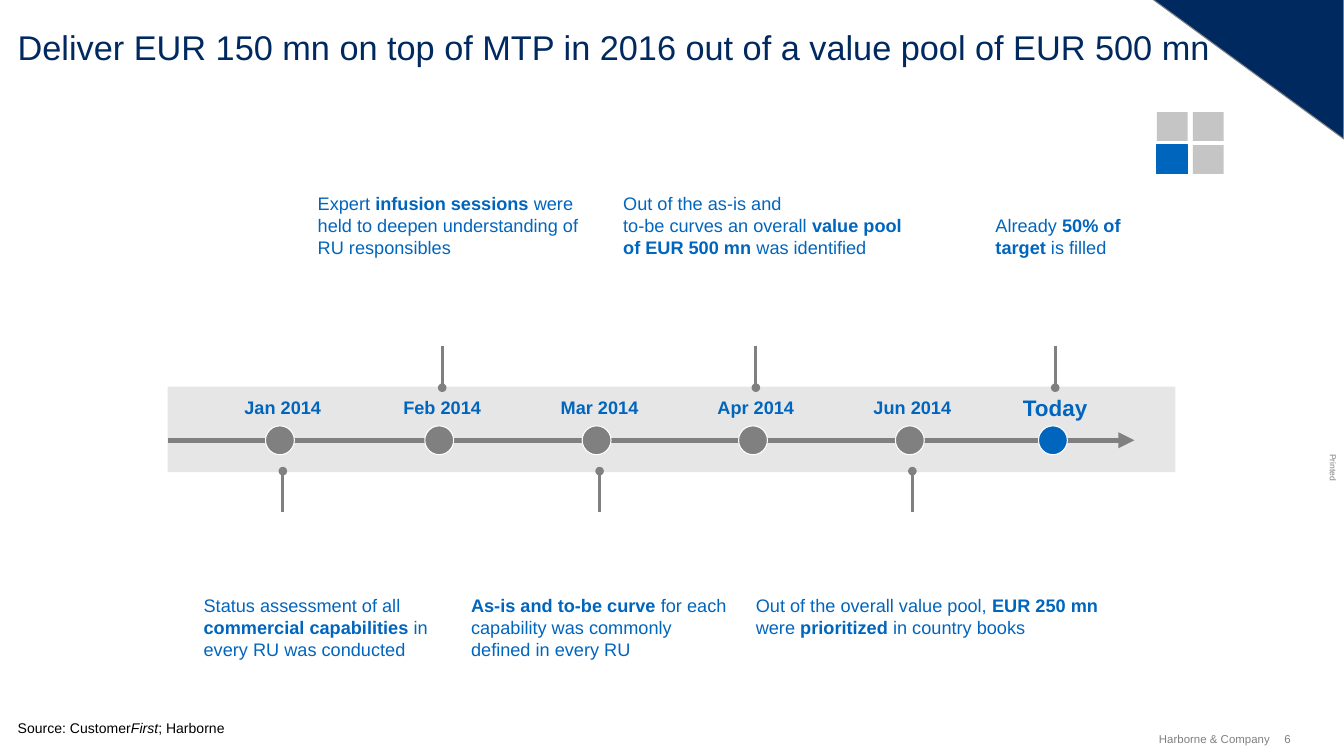
from itertools import product

from lxml.etree import SubElement
from pptx import Presentation
from pptx.dml.color import RGBColor
from pptx.enum.shapes import MSO_CONNECTOR, MSO_SHAPE
from pptx.enum.text import MSO_ANCHOR, PP_ALIGN
from pptx.oxml.ns import qn
from pptx.util import Pt

COLORS = {
    "navy": "002960",
    "blue": "0065BD",
    "gray": "808080",
    "tile": "C5C5C5",
    "band": "E6E6E6",
    "white": "FFFFFF",
    "black": "000000",
}
BOLD = {"bold": True}
ITALIC = {"italic": True}


def color(name):
    return RGBColor.from_string(COLORS[name])


def apply(target, values):
    for name, value in values.items():
        setattr(target, name, value)


class TimelinePage:
    font_name = "Arial"
    body_size = 12.7

    def __init__(self, deck):
        self.page = deck.slides.add_slide(deck.slide_layouts[6])

    def text(self, place, paragraphs, size=body_size, ink="blue",
             anchor=MSO_ANCHOR.TOP, align=PP_ALIGN.LEFT, wrap=True, top_inset=0):
        box = self.page.shapes.add_textbox(*map(Pt, place))
        frame = box.text_frame
        apply(frame, {
            "margin_left": 0, "margin_right": 0, "margin_bottom": 0,
            "margin_top": Pt(top_inset), "word_wrap": wrap, "vertical_anchor": anchor,
        })
        for index, spans in enumerate(paragraphs):
            para = frame.add_paragraph() if index else frame.paragraphs[0]
            para.alignment = align
            for words, emphasis in spans:
                span = para.add_run()
                span.text = words
                apply(span.font, {"name": self.font_name, "size": Pt(size), **emphasis})
                span.font.color.rgb = color(ink)
        return box

    def shape(self, kind, place, fill, outline=None):
        shape = self.page.shapes.add_shape(kind, *map(Pt, place))
        shape.shadow.inherit = False
        shape.fill.solid()
        shape.fill.fore_color.rgb = color(fill)
        if outline:
            shape.line.color.rgb = color(outline)
            shape.line.width = Pt(0.75)
        else:
            shape.line.fill.background()
        return shape

    def line(self, start, end, width, tip):
        line = self.page.shapes.add_connector(
            MSO_CONNECTOR.STRAIGHT, *map(Pt, (*start, *end)))
        line.line.color.rgb = color("gray")
        line.line.width = Pt(width)
        SubElement(line.line._get_or_add_ln(), qn("a:tailEnd"), type=tip)
        SubElement(line._element.spPr, qn("a:effectLst"))

    def milestone(self, label, dot_x, stem_x, above, size=body_size, fill="gray"):
        start, end = (242, 271.4) if above else (358.6, 329.8)
        self.text((stem_x - 29, 274.5, 58, 19), [[(label, BOLD)]], size,
                  anchor=MSO_ANCHOR.MIDDLE, align=PP_ALIGN.CENTER, wrap=False, top_inset=2.9)
        self.line((stem_x, start), (stem_x, end), 2, "oval")
        self.shape(MSO_SHAPE.OVAL, (dot_x - 10.1, 298.1, 20.2, 20.2), fill, "white")

    def tiles(self, left, top, active):
        squares = []
        for row, column in product(range(2), repeat=2):
            is_active = (row, column) == active
            squares.append(self.shape(
                MSO_SHAPE.RECTANGLE, (left + 25.2 * column, top + 23 * row, 21.6, 20.2),
                "blue" if is_active else "tile", "blue" if is_active else None))
        self.page.shapes.add_group_shape(squares)


NOTES_ABOVE = [
    (222.5, 134.6, 185, 46.1, [
        [("Expert ", {}), ("infusion sessions ", BOLD),
         ("were held to deepen understanding of RU responsibles", {})]]),
    (436.3, 134.6, 203, 46.1, [
        [("Out of the as-is and", {})],
        [("to-be curves an overall ", {}), ("value pool of EUR 500 mn ", BOLD),
         ("was identified", {})]]),
    (697, 149.7, 103, 31, [
        [("Already ", {}), ("50% of target ", BOLD), ("is filled", {})]]),
]
NOTES_BELOW = [
    (142.6, 416.2, 172, 46.1, [
        [("Status assessment of all ", {}), ("commercial capabilities ", BOLD),
         ("in every RU was conducted", {})]]),
    (329.8, 416.2, 181.4, 46.1, [
        [("As-is and to-be curve ", BOLD),
         ("for each capability was commonly defined in every RU", {})]]),
    (529.2, 416.2, 244.8, 31, [
        [("Out of the overall value pool, ", {}), ("EUR 250 mn ", BOLD),
         ("were", {}), (" prioritized ", BOLD), ("in country books", {})]]),
]
MILESTONES = [
    ("Jan 2014", 196, 198),
    ("Feb 2014", 307.5, 309.6),
    ("Mar 2014", 417.7, 419.8),
    ("Apr 2014", 527.2, 529.2),
    ("Jun 2014", 637, 638.8),
    ("Today", 737.2, 738.8),
]


def main():
    deck = Presentation()
    apply(deck, {"slide_width": Pt(941), "slide_height": Pt(529.2)})
    timeline = TimelinePage(deck)

    printed = timeline.text((923.8, 324, 19.4, 7.2), [[("Printed", {})]], 6, "gray", wrap=False)
    printed.rotation = 90
    corner = timeline.shape(MSO_SHAPE.RIGHT_TRIANGLE, (806.8, -0.7, 134, 97.9), "navy", "gray")
    corner.rotation = 180
    timeline.text((899.3, 512.6, 10, 9.4), [[("6", {})]], 8, "gray",
                  MSO_ANCHOR.MIDDLE, wrap=False)
    timeline.text((809.3, 512.6, 79.9, 9.4), [[("Harborne & Company", {})]], 8, "gray",
                  MSO_ANCHOR.MIDDLE, PP_ALIGN.RIGHT, False)
    timeline.text((12.4, 18.4, 905, 28.8), [[(
        "Deliver EUR 150 mn on top of MTP in 2016 out of a value pool of EUR 500 mn", {})]],
        24, "navy")

    timeline.shape(MSO_SHAPE.RECTANGLE, (117.4, 270.7, 705.6, 59.8), "band")
    timeline.line((117.4, 308.2), (794.2, 308.2), 3.75, "triangle")
    for index, (label, dot_x, stem_x) in enumerate(MILESTONES):
        today = {"size": 15.7, "fill": "blue"} if label == "Today" else {}
        timeline.milestone(label, dot_x, stem_x, above=index % 2 == 1, **today)

    for notes, anchor in ((NOTES_ABOVE, MSO_ANCHOR.BOTTOM), (NOTES_BELOW, MSO_ANCHOR.TOP)):
        for *place, paragraphs in notes:
            timeline.text(place, paragraphs, anchor=anchor)

    timeline.text((12.4, 503.7, 541.4, 11.5), [[
        ("Source: Customer", {}), ("First", ITALIC), ("; Harborne", {})]],
        9.8, "black", MSO_ANCHOR.BOTTOM)
    timeline.tiles(810, 78.5, active=(1, 0))
    deck.save("out.pptx")


if __name__ == "__main__":
    main()
